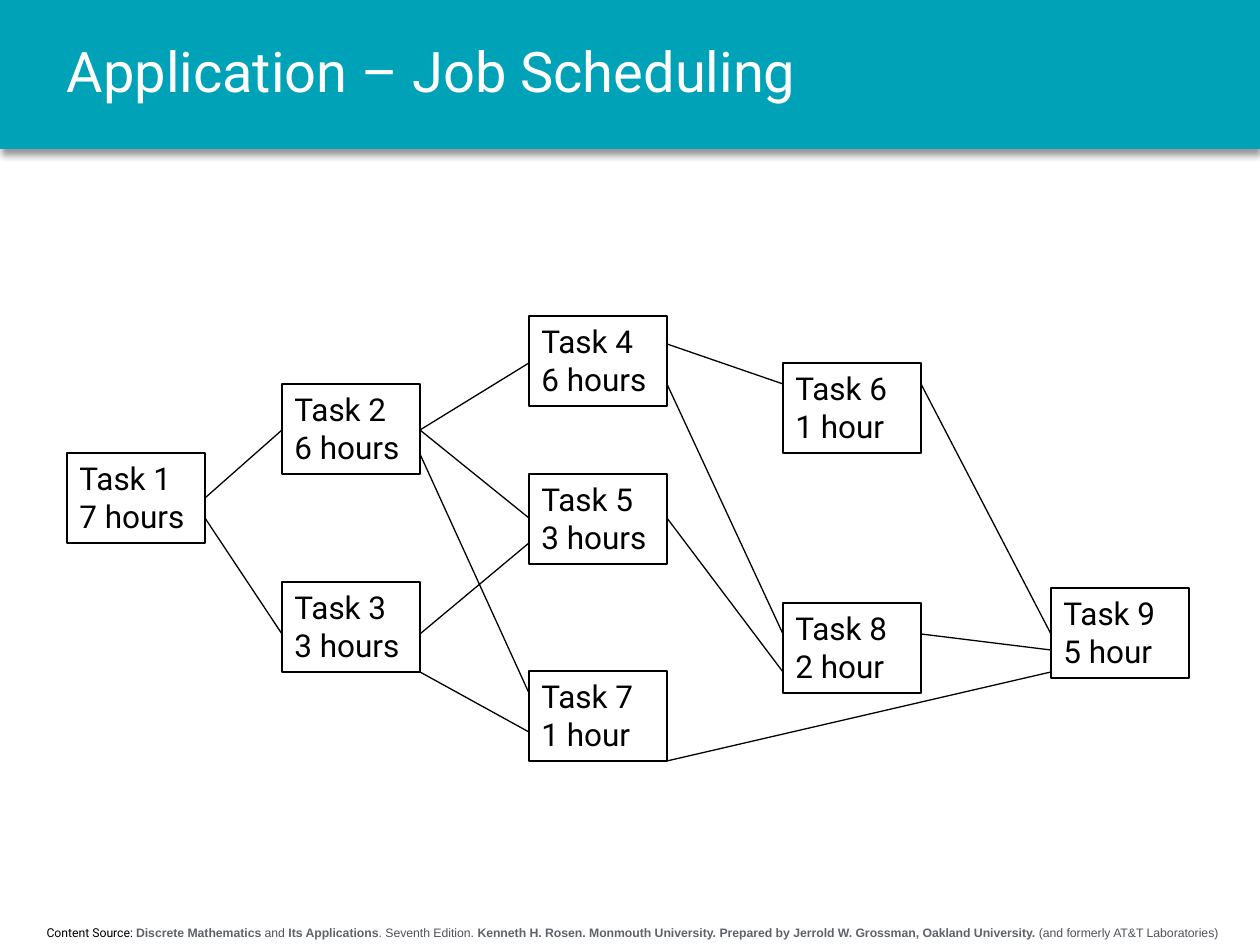
"""Build the job scheduling slide: a graph of nine dependent tasks."""
from lxml import etree
from pptx import Presentation
from pptx.dml.color import RGBColor
from pptx.enum.shapes import MSO_CONNECTOR, MSO_SHAPE
from pptx.enum.text import MSO_ANCHOR, MSO_AUTO_SIZE, PP_ALIGN
from pptx.oxml import parse_xml
from pptx.oxml.ns import nsdecls, qn
from pptx.util import Emu, Pt

RECTANGLE = MSO_SHAPE.RECTANGLE
STRAIGHT = MSO_CONNECTOR.STRAIGHT
TOP, MIDDLE = MSO_ANCHOR.TOP, MSO_ANCHOR.MIDDLE
LEFT, CENTER = PP_ALIGN.LEFT, PP_ALIGN.CENTER
NO_FIT = MSO_AUTO_SIZE.NONE

EMU_PER_PX = 914400 / 126
WIDTH, HEIGHT, BAND_HEIGHT = 1260, 945, 149
TASK_WIDTH, TASK_HEIGHT = 138, 90
COLORS = {"band": "00A2B8", "white": "FFFFFF", "black": "000000",
          "strong": "5F6368", "soft": "4D5156"}

COLUMNS = (67, 282, 529, 783, 1051)
TASKS = {
    1: (0, 453, "7 hours"),
    2: (1, 384, "6 hours"),
    3: (1, 582, "3 hours"),
    4: (2, 316, "6 hours"),
    5: (2, 474, "3 hours"),
    7: (2, 671, "1 hour"),
    6: (3, 363, "1 hour"),
    8: (3, 603, "2 hour"),
    9: (4, 588, "5 hour"),
}
LINKS = (
    (1, 498, 2, 430), (1, 518, 3, 634),
    (2, 430, 4, 363), (2, 430, 5, 518), (2, 454, 7, 693),
    (3, 634, 5, 543), (3, 672, 7, 732),
    (4, 344, 6, 384), (4, 384, 8, 634), (5, 518, 8, 672),
    (6, 384, 9, 634), (8, 634, 9, 650), (7, 761, 9, 672),
)
SOURCE = (
    ("Content Source: ", "Roboto", "black", False),
    ("Discrete Mathematics", "Arial", "strong", True),
    (" and ", "Arial", "soft", False),
    ("Its Applications", "Arial", "strong", True),
    (". Seventh Edition. ", "Arial", "soft", False),
    ("Kenneth H. Rosen. Monmouth University. Prepared by Jerrold W. Grossman, "
     "Oakland University.", "Arial", "strong", True),
    (" (and formerly AT&T Laboratories)", "Arial", "soft", False),
)


def px(*lengths):
    return [Emu(round(length * EMU_PER_PX)) for length in lengths]


def color(name):
    return RGBColor.from_string(COLORS[name])


class SlideBuilder:
    def __init__(self, page, font="Roboto"):
        self.page = page
        self.font = font

    def span(self, para, text, size, tint="black", font=None, bold=False):
        span = para.add_run()
        span.text = text
        span.font.name = font or self.font
        span.font.size = Pt(size)
        span.font.bold = bold
        span.font.color.rgb = color(tint)

    def rectangle(self, left, top, width, height):
        box = self.page.shapes.add_shape(RECTANGLE, *px(left, top, width, height))
        box.shadow.inherit = False
        return box

    def band(self):
        band = self.rectangle(0, 0, WIDTH, BAND_HEIGHT)
        band.fill.solid()
        band.fill.fore_color.rgb = color("band")
        band.line.fill.background()
        effects = band.element.spPr.find(qn("a:effectLst"))
        effects.append(parse_xml(
            f'<a:outerShdw {nsdecls("a")} blurRad="{Pt(4)}" dist="{Pt(3)}" '
            'dir="5400000" algn="t" rotWithShape="0">'
            f'<a:srgbClr val="{COLORS["black"]}"><a:alpha val="40000"/></a:srgbClr>'
            '</a:outerShdw>'))

    def title(self, text):
        title = self.page.shapes.title
        title.left, title.top, title.width, title.height = px(54, 0, 1172, BAND_HEIGHT)
        self.page.shapes.element.append(title.element)
        frame = title.text_frame
        frame.auto_size = NO_FIT
        frame.vertical_anchor = MIDDLE
        para = frame.paragraphs[0]
        para.alignment = LEFT
        para.line_spacing = 0.9
        self.span(para, text, 32, "white")

    def task(self, number, column, top, duration):
        box = self.rectangle(COLUMNS[column], top, TASK_WIDTH, TASK_HEIGHT)
        box.fill.background()
        box.line.color.rgb = color("black")
        box.line.width = Pt(0.75)
        frame = box.text_frame
        frame.vertical_anchor = TOP
        para = frame.paragraphs[0]
        para.alignment = LEFT
        self.span(para, f"Task {number}", 18)
        para.add_line_break()
        self.span(para, duration, 18)

    def link(self, start, start_y, end, end_y):
        start_x = COLUMNS[TASKS[start][0]] + TASK_WIDTH
        end_x = COLUMNS[TASKS[end][0]]
        line = self.page.shapes.add_connector(
            STRAIGHT, *px(start_x, start_y, end_x, end_y))
        line.line.color.rgb = color("black")
        line.line.width = Pt(0.75)
        etree.SubElement(line.element.spPr, qn("a:effectLst"))

    def footer(self, spans):
        box = self.page.shapes.add_textbox(*px(5, 919, 1255, 28))
        box.text_frame.word_wrap = True
        para = box.text_frame.paragraphs[0]
        para.alignment = CENTER
        for text, font, tint, bold in spans:
            self.span(para, text, 7, tint, font, bold)


def main():
    deck = Presentation()
    deck.slide_width, deck.slide_height = px(WIDTH, HEIGHT)
    builder = SlideBuilder(deck.slides.add_slide(deck.slide_layouts[5]))
    builder.band()
    builder.footer(SOURCE)
    for number, details in TASKS.items():
        builder.task(number, *details)
    for ends in LINKS:
        builder.link(*ends)
    builder.title("Application – Job Scheduling")
    deck.save("out.pptx")


if __name__ == "__main__":
    main()
